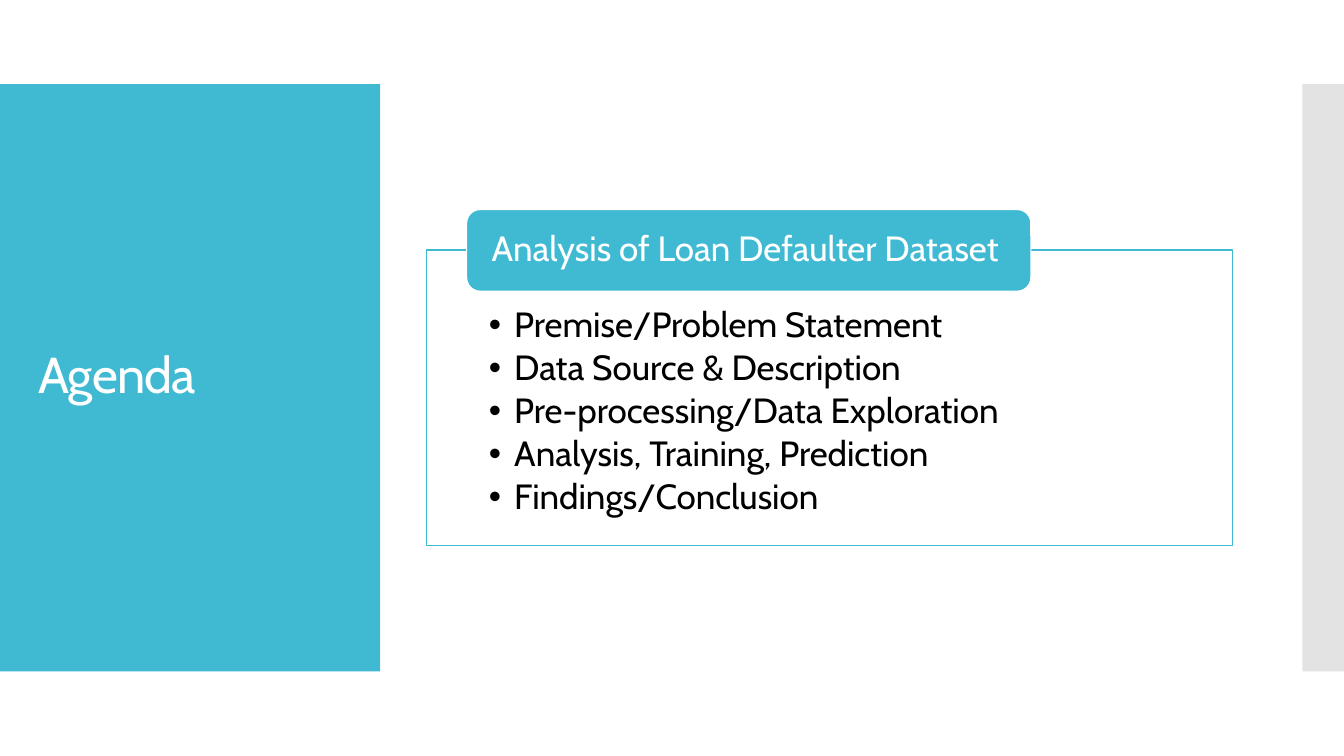
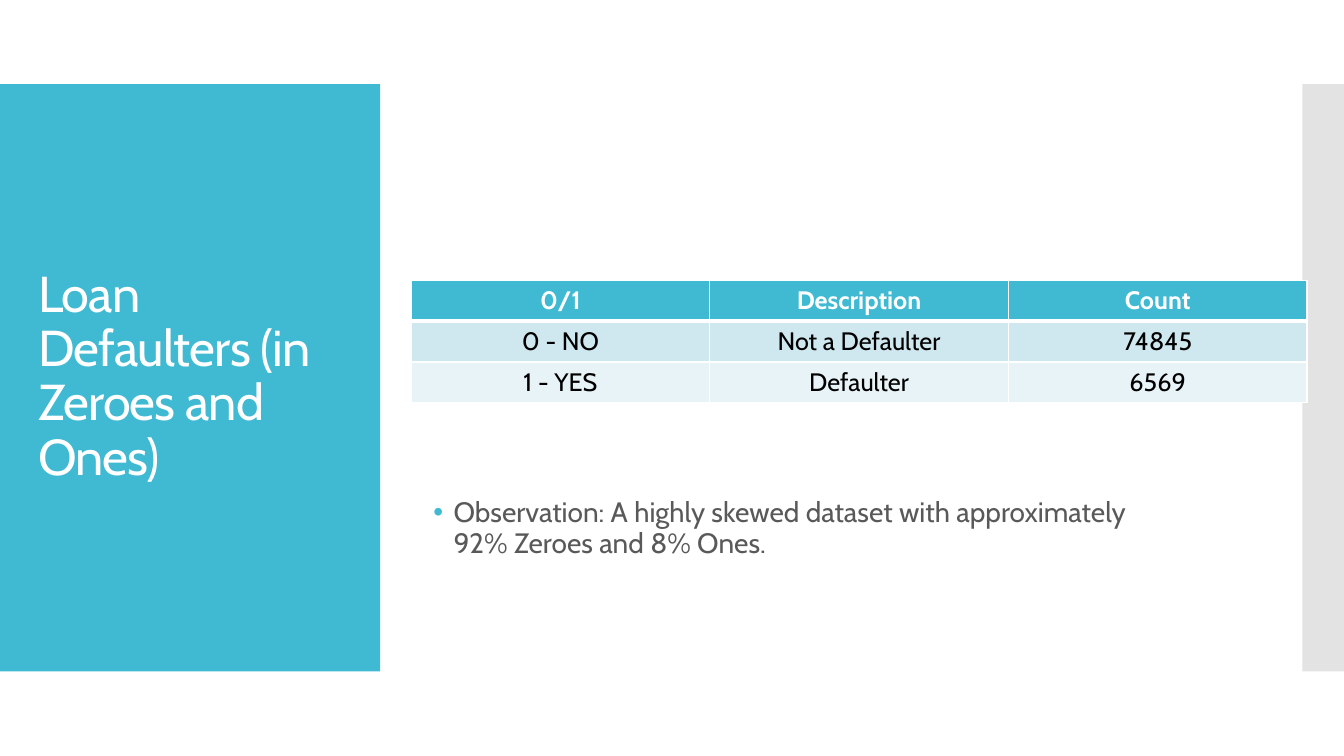
import pptx
import pptx.util
import pptx.dml.color
import pptx.enum.shapes
import pptx.enum.text
import pptx.oxml
import pptx.oxml.ns
import lxml.etree

Cm = pptx.util.Cm
Pt = pptx.util.Pt
ALIGN = pptx.enum.text.PP_ALIGN
ANCHOR = pptx.enum.text.MSO_ANCHOR
SHAPE = pptx.enum.shapes.MSO_SHAPE

TEAL, WHITE, BLACK, GREY = "40BAD2", "FFFFFF", "000000", "595959"
FONT = "Cabin"
BANDS = [((0, 2.12, 9.58, 14.8), TEAL), ((32.82, 2.12, 1.05, 14.8), "E3E3E3")]
TITLE_BOX = (0.71, 3.12, 8.18, 12.78)

AGENDA_TITLE = "Agenda"
AGENDA_HEADING = "Analysis of Loan Defaulter Dataset"
AGENDA_ITEMS = [
    "Premise/Problem Statement",
    "Data Source & Description",
    "Pre-processing/Data Exploration",
    "Analysis, Training, Prediction",
    "Findings/Conclusion",
]
AGENDA_FRAME = (10.74, 6.3, 20.32, 7.44)
AGENDA_TAB = (11.76, 5.28, 14.22, 2.06)

COUNTS_TITLE = "Loan Defaulters (in Zeroes and Ones)"
COUNTS = [
    ("0/1", "Description", "Count"),
    ("0 - NO", "Not a Defaulter", "74845"),
    ("1 - YES", "Defaulter", "6569"),
]
ROW_FILLS = [TEAL, "CFE7EE", "E8F3F7"]
COUNTS_BOX = (10.36, 7.06, 22.58, 3.09)
OBSERVATION = "Observation: A highly skewed dataset with approximately 92% Zeroes and 8% Ones."
OBSERVATION_BOX = (10.67, 11.3, 18.19, 4.06)


def color(value):
    return pptx.dml.color.RGBColor.from_string(value)


def lengths(box):
    return [Cm(value) for value in box]


def add_xml(parent, tag, **attributes):
    return lxml.etree.SubElement(parent, pptx.oxml.ns.qn(tag), **attributes)


def add_bullet(paragraph, indent, bullet_color):
    properties = paragraph._p.get_or_add_pPr()
    properties.set("marL", str(Cm(indent)))
    properties.set("indent", str(-Cm(indent)))
    add_xml(add_xml(properties, "a:buClr"), "a:srgbClr", val=bullet_color)
    add_xml(properties, "a:buFont", typeface="Arial")
    add_xml(properties, "a:buChar", char="•")


def write(frame, text, size=18, ink=BLACK, bold=False, align=ALIGN.LEFT,
          anchor=ANCHOR.MIDDLE, insets=None, line_spacing=0.9, before=0,
          after=0, tracking=0, indent=0, bullet_color=None):
    frame.word_wrap = True
    frame.vertical_anchor = anchor
    if insets:
        (frame.margin_left, frame.margin_top,
         frame.margin_right, frame.margin_bottom) = lengths(insets)
    frame.text = text
    for paragraph in frame.paragraphs:
        paragraph.alignment = align
        paragraph.line_spacing = line_spacing
        paragraph.space_before = Pt(before)
        paragraph.space_after = Pt(after)
        if indent:
            add_bullet(paragraph, indent, bullet_color or ink)
        for run in paragraph.runs:
            run.font.name = FONT
            run.font.size = Pt(size)
            run.font.bold = bold
            run.font.color.rgb = color(ink)
            if tracking:
                run._r.get_or_add_rPr().set("spc", str(round(tracking * 100)))


def add_box(slide, box, fill, line=None, kind=SHAPE.RECTANGLE):
    shape = slide.shapes.add_shape(kind, *lengths(box))
    shape.shadow.inherit = False
    shape.fill.solid()
    shape.fill.fore_color.rgb = color(fill)
    if line:
        shape.line.color.rgb = color(line)
        shape.line.width = Pt(0.85)
    else:
        shape.line.fill.background()
    return shape


def add_text(slide, box, text, **style):
    write(slide.shapes.add_textbox(*lengths(box)).text_frame, text, **style)


def add_slide(presentation, title):
    slide = presentation.slides.add_slide(presentation.slide_layouts[6])
    for box, fill in BANDS:
        add_box(slide, box, fill)
    add_text(slide, TITLE_BOX, title, size=36, ink=WHITE, tracking=-0.6)
    return slide


def set_borders(cell, bottom):
    properties = cell._tc.get_or_add_tcPr()
    for side, width in (("L", 1), ("R", 1), ("T", 1), ("B", bottom)):
        border = add_xml(properties, f"a:ln{side}", w=str(Pt(width)))
        add_xml(add_xml(border, "a:solidFill"), "a:srgbClr", val=WHITE)


def add_counts_table(slide):
    table = slide.shapes.add_table(len(COUNTS), len(COUNTS[0]), *lengths(COUNTS_BOX)).table
    for row, (values, fill) in enumerate(zip(COUNTS, ROW_FILLS)):
        header = row == 0
        for column, value in enumerate(values):
            cell = table.cell(row, column)
            set_borders(cell, 3 if header else 1)
            cell.fill.solid()
            cell.fill.fore_color.rgb = color(fill)
            write(cell.text_frame, value, ink=WHITE if header else BLACK, bold=header,
                  align=ALIGN.CENTER, anchor=ANCHOR.TOP, line_spacing=1.0)


def build_agenda(presentation):
    slide = add_slide(presentation, AGENDA_TITLE)
    frame = add_box(slide, AGENDA_FRAME, WHITE, TEAL)
    write(frame.text_frame, "\n".join(AGENDA_ITEMS), size=25, anchor=ANCHOR.TOP,
          insets=(1.58, 1.45, 1.58, 0.48), after=3.75, indent=0.64)
    tab = add_box(slide, AGENDA_TAB, TEAL, WHITE, SHAPE.ROUNDED_RECTANGLE)
    write(tab.text_frame, AGENDA_HEADING, size=25, ink=WHITE, insets=(0.53, 0, 0.53, 0))


def build_counts(presentation):
    slide = add_slide(presentation, COUNTS_TITLE)
    add_text(slide, OBSERVATION_BOX, OBSERVATION, size=20, ink=GREY, before=12,
             indent=0.51, bullet_color=TEAL)
    add_counts_table(slide)


def main():
    presentation = pptx.Presentation()
    presentation.slide_width, presentation.slide_height = lengths((33.87, 19.05))
    build_agenda(presentation)
    build_counts(presentation)
    presentation.save("out.pptx")


if __name__ == "__main__":
    main()
